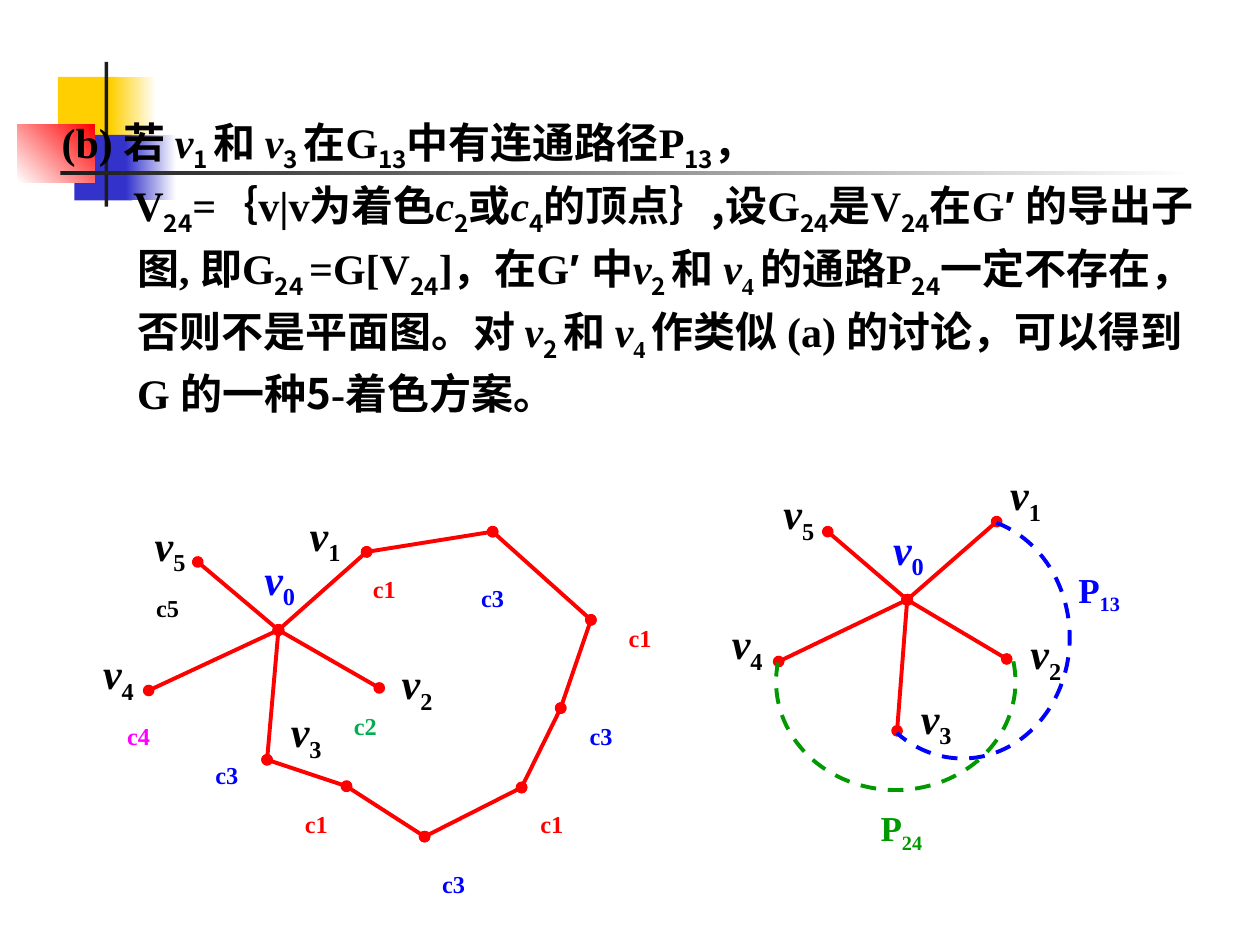
from lxml import etree
from pptx import Presentation
from pptx.dml.color import RGBColor
from pptx.enum.dml import MSO_LINE
from pptx.enum.shapes import MSO_CONNECTOR, MSO_SHAPE
from pptx.enum.text import MSO_ANCHOR, MSO_AUTO_SIZE, PP_ALIGN
from pptx.oxml.ns import qn
from pptx.util import Cm, Pt

BLACK = RGBColor(0x00, 0x00, 0x00)
WHITE = RGBColor(0xFF, 0xFF, 0xFF)
CHARCOAL = RGBColor(0x1C, 0x1C, 0x1C)
YELLOW = RGBColor(0xFF, 0xCF, 0x01)
INDIGO = RGBColor(0x33, 0x33, 0xCC)
RED = RGBColor(0xFF, 0x00, 0x00)
BLUE = RGBColor(0x00, 0x00, 0xFF)
MAGENTA = RGBColor(0xFF, 0x00, 0xFF)
GREEN = RGBColor(0x00, 0xB0, 0x50)
DARK_GREEN = RGBColor(0x00, 0x99, 0x00)

RECT, ARC = MSO_SHAPE.RECTANGLE, MSO_SHAPE.ARC
STRAIGHT = MSO_CONNECTOR.STRAIGHT
DASH = MSO_LINE.DASH
MIDDLE, CENTER = MSO_ANCHOR.MIDDLE, PP_ALIGN.CENTER
GROW = MSO_AUTO_SIZE.SHAPE_TO_FIT_TEXT

SERIF, SANS, ARIAL = "Times New Roman", "Noto Sans CJK SC", "Arial"

# Run styles: font, italic, subscript
TEXT = (SERIF, False, False)
VAR = (SERIF, True, False)
SUB = (SERIF, False, True)
CJK = (SANS, False, False)
CJK_SUB = (SANS, False, True)
PRIME = (ARIAL, False, False)

# Paragraphs: first-line indent and runs
PROOF = [
    (-0.6, [
        ("(b) 若 ", TEXT), ("v", VAR), ("1 ", CJK_SUB), ("和 ", TEXT),
        ("v", VAR), ("3 ", CJK_SUB), ("在G", TEXT), ("13", CJK_SUB),
        ("中有连通路径P", TEXT), ("13", CJK_SUB), ("，", TEXT)]),
    (-0.03, [
        ("V", TEXT), ("24", CJK_SUB), ("=｛v|v为", TEXT), ("着色", CJK),
        ("c", VAR), ("2", CJK_SUB), ("或", TEXT), ("c", VAR),
        ("4", CJK_SUB), ("的顶点｝,", CJK), ("设G", TEXT), ("24", CJK_SUB),
        ("是V", TEXT), ("24", CJK_SUB), ("在G", TEXT), ("′", PRIME),
        (" 的导出子图, 即G", TEXT), ("24 ", CJK_SUB), ("=G[V", TEXT),
        ("24", CJK_SUB), ("]，在G", TEXT), ("′ ", PRIME), ("中", TEXT),
        ("v", VAR), ("2 ", CJK_SUB), ("和 ", TEXT), ("v", VAR), ("4 ", SUB),
        ("的通路P", TEXT), ("24", CJK_SUB),
        ("一定不存在，否则不是平面图。对 ", TEXT), ("v", VAR),
        ("2 ", CJK_SUB), ("和 ", TEXT), ("v", VAR), ("4 ", SUB),
        ("作类似 (a) 的讨论，可以得到G 的一种", TEXT), ("5", CJK),
        ("-着色方案。", TEXT)]),
]

# Star graphs: hub, then v1 to v5; labels v0 to v5
LEFT_STAR = [(2.21, 5), (2.91, 4.38), (3.01, 5.46), (2.12, 6.03),
             (1.18, 5.48), (1.57, 4.46)]
LEFT_LABELS = [(1.98, 4.39), (2.34, 4.04), (3.07, 5.22), (2.19, 5.6),
               (0.7, 5.14), (1.11, 4.12)]
RIGHT_STAR = [(7.2, 4.76), (7.91, 4.14), (7.99, 5.23), (7.12, 5.8),
              (6.18, 5.25), (6.57, 4.22)]
RIGHT_LABELS = [(6.97, 4.15), (7.9, 3.72), (8.06, 4.98), (7.19, 5.49),
                (5.69, 4.9), (6.1, 3.87)]
# Path of alternating colours from v1 to v3 in the left graph
KEMPE_PATH = [LEFT_STAR[1], (3.91, 4.22), (4.69, 4.92), (4.45, 5.62),
              (4.14, 6.25), (3.37, 6.64), (2.75, 6.24), LEFT_STAR[3]]
COLOR_LABELS = {
    "c1": (RED, [(2.81, 4.33), (4.84, 4.72), (2.27, 6.2), (4.14, 6.2)]),
    "c2": (GREEN, [(2.66, 5.42)]),
    "c3": (BLUE, [(1.56, 5.81), (3.67, 4.4), (4.53, 5.5), (3.36, 6.67)]),
    "c4": (MAGENTA, [(0.86, 5.5)]),
    "c5": (BLACK, [(1.09, 4.48)]),
}


def length(inches):
    return Cm(inches * 2.54)


class SlideBuilder:
    """Draws on one slide; positions are in inches."""

    def __init__(self, s, line_width=2.25):
        self.s = s
        self.line_width = Pt(line_width)

    def block(self, box, start, end=None, angle=0):
        """Plain rectangle, or a gradient when an end colour is given."""
        sp = self.s.shapes.add_shape(RECT, *map(length, box))
        sp.shadow.inherit = False
        sp.line.fill.background()
        if end is None:
            sp.fill.solid()
            sp.fill.fore_color.rgb = start
            return
        sp.fill.gradient()
        sp.fill.gradient_angle = angle
        for stop, color, position in zip(sp.fill.gradient_stops, (start, end), (0, 1)):
            stop.color.rgb = color
            stop.position = position

    def edge(self, start, end):
        """Red line with a dot at both ends."""
        cx = self.s.shapes.add_connector(STRAIGHT, *map(length, start + end))
        cx.line.color.rgb = RED
        cx.line.width = self.line_width
        ln = cx.line._get_or_add_ln()
        for tag in ("a:headEnd", "a:tailEnd"):
            etree.SubElement(ln, qn(tag), type="oval")
        etree.SubElement(cx._element.spPr, qn("a:effectLst"))

    def arc(self, center, radii, start, end, color):
        """Dashed clockwise arc between two angles in degrees."""
        (x, y), (rx, ry) = center, radii
        box = (x - rx, y - ry, 2 * rx, 2 * ry)
        sp = self.s.shapes.add_shape(ARC, *map(length, box))
        for i, degrees in enumerate((start, end)):
            sp.adjustments[i] = degrees * 0.6
        sp.shadow.inherit = False
        sp.fill.background()
        sp.line.color.rgb = color
        sp.line.width = self.line_width
        sp.line.dash_style = DASH

    def runs(self, p, runs, color, size):
        for text, (font, italic, subscript) in runs:
            r = p.add_run()
            r.text = text
            r.font.name = font
            r.font.size = Pt(size)
            r.font.bold = True
            r.font.italic = italic
            r.font.color.rgb = color
            rPr = r._r.get_or_add_rPr()
            etree.SubElement(rPr, qn("a:ea"), typeface=SANS)
            if subscript:
                rPr.set("baseline", "-25000")

    def label(self, at, runs, color):
        """Centred label of a vertex or of its colour."""
        tf = self.s.shapes.add_textbox(*map(length, at + (0.48, 0.46))).text_frame
        tf.word_wrap = True
        tf.auto_size = GROW
        tf.vertical_anchor = MIDDLE
        tf.margin_left = tf.margin_right = tf.margin_top = tf.margin_bottom = 0
        p = tf.paragraphs[0]
        p.alignment = CENTER
        self.runs(p, runs, color, 24)

    def path_label(self, at, index, color):
        tf = self.s.shapes.add_textbox(*map(length, at + (0.53, 0.48))).text_frame
        tf.word_wrap = False
        tf.auto_size = GROW
        self.runs(tf.paragraphs[0], [("P", TEXT), (index, SUB)], color, 20)

    def body(self, box, paragraphs):
        tf = self.s.shapes.add_textbox(*map(length, box)).text_frame
        tf.word_wrap = True
        for i, (indent, runs) in enumerate(paragraphs):
            p = tf.add_paragraph() if i else tf.paragraphs[0]
            p.line_spacing = 1.1
            pPr = p._p.get_or_add_pPr()
            pPr.set("marL", str(length(0.67)))
            pPr.set("indent", str(length(indent)))
            self.runs(p, runs, BLACK, 24)

    def star(self, vertices, labels):
        for vertex in vertices[1:]:
            self.edge(vertices[0], vertex)
        for i, at in enumerate(labels):
            self.label(at, [("v", VAR), (str(i), SUB)], BLACK if i else BLUE)


def main():
    prs = Presentation()
    prs.slide_width, prs.slide_height = length(10), length(7.5)
    b = SlideBuilder(prs.slides.add_slide(prs.slide_layouts[6]))

    b.block((0.46, 0.61, 0.48, 0.52), YELLOW)
    b.block((0.88, 0.61, 0.36, 0.52), YELLOW, WHITE)
    b.block((0.59, 1.07, 0.46, 0.52), INDIGO)
    b.block((1, 1.07, 0.4, 0.52), INDIGO, WHITE)
    b.block((0.14, 0.99, 0.61, 0.46), WHITE, RED, angle=45)
    b.block((0.83, 0.49, 0.03, 1.15), CHARCOAL)
    b.block((0.48, 1.36, 9, 0.03), CHARCOAL, WHITE)
    b.body((0.32, 0.83, 9.38, 2.73), PROOF)

    b.star(LEFT_STAR, LEFT_LABELS)
    for start, end in zip(KEMPE_PATH, KEMPE_PATH[1:]):
        b.edge(start, end)
    for name, (color, places) in COLOR_LABELS.items():
        for at in places:
            b.label(at, [(name, SUB)], color)

    b.star(RIGHT_STAR, RIGHT_LABELS)
    b.arc((7.64, 5.06), (0.85, 0.96), 286.4, 124.7, BLUE)
    b.path_label((8.46, 4.46), "13", BLUE)
    b.arc((7.11, 5.41), (0.95, 0.86), 350.2, 189.2, DARK_GREEN)
    b.path_label((6.89, 6.35), "24", DARK_GREEN)

    prs.save("out.pptx")


if __name__ == "__main__":
    main()
